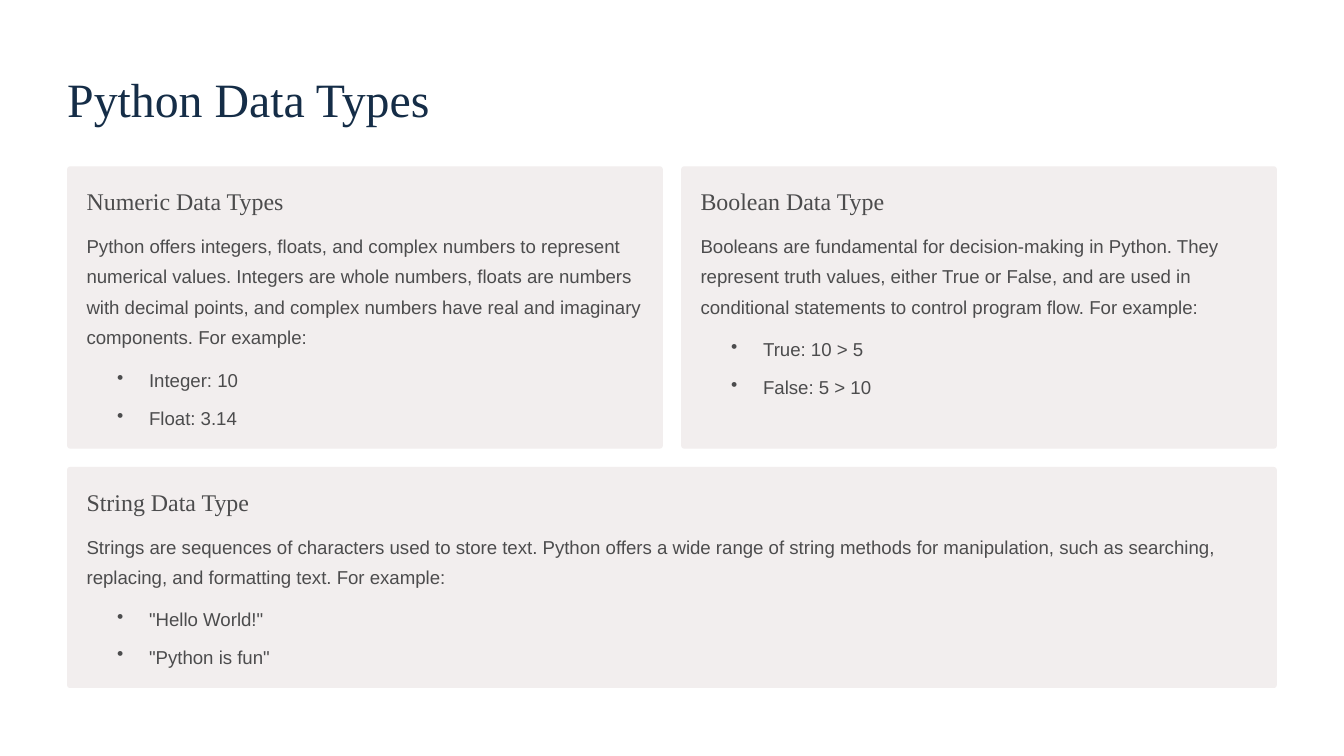
from lxml import etree
from pptx import Presentation
from pptx.dml.color import RGBColor
from pptx.enum.shapes import MSO_SHAPE
from pptx.oxml.ns import qn
from pptx.util import Pt

ROUNDED = MSO_SHAPE.ROUNDED_RECTANGLE
COLORS = {"title": "152D47", "text": "4C4C4D", "card": "F2EEEE"}
SERIF, SANS = "Times New Roman", "Arial"

# Layout in points
LEFT, TOP, GAP = 57.6, 142.6, 15.8
FULL_W = 1036.8
HALF_W = (FULL_W - GAP) / 2
UPPER_H, LOWER_H = 241.9, 189.4
PAD, RADIUS = 16.6, 2.4
BODY_TOP, LINE_H = 52, 26.5
BULLET_INDENT, BULLET_HANG, BULLET_STEP = 26.2, 27.4, 32.1


def add_text(s, x, y, w, h, text, size, font, color, spacing, bullet=False):
    tf = s.shapes.add_textbox(Pt(x), Pt(y), Pt(w), Pt(h)).text_frame
    tf.word_wrap = True
    tf.margin_left = tf.margin_right = tf.margin_top = tf.margin_bottom = 0
    p = tf.paragraphs[0]
    p.line_spacing = Pt(spacing)
    r = p.add_run()
    r.text = text
    r.font.size = Pt(size)
    r.font.name = font
    r.font.color.rgb = RGBColor.from_string(COLORS[color])
    if bullet:
        pPr = p._p.get_or_add_pPr()
        pPr.set("marL", str(Pt(BULLET_HANG)))
        pPr.set("indent", str(-Pt(BULLET_HANG)))
        etree.SubElement(pPr, qn("a:buChar")).set("char", "•")


def add_card(s, x, y, w, h, heading, body, lines, examples):
    # Panel
    sp = s.shapes.add_shape(ROUNDED, Pt(x), Pt(y), Pt(w), Pt(h))
    sp.adjustments[0] = RADIUS / h
    sp.shadow.inherit = False
    sp.fill.solid()
    sp.fill.fore_color.rgb = RGBColor.from_string(COLORS["card"])
    sp.line.fill.background()

    # Heading and description
    x, inner_w = x + PAD, w - 2 * PAD
    add_text(s, x, y + PAD, 205, 25.6, heading, 20.5, SERIF, "text", 25.5)
    y += BODY_TOP
    add_text(s, x, y, inner_w, lines * 26.2, body, 16, SANS, "text", 26)

    # Bulleted examples
    y += lines * LINE_H + 9
    for i, example in enumerate(examples):
        add_text(s, x + BULLET_INDENT, y + i * BULLET_STEP, inner_w - BULLET_INDENT,
                 26.5, example, 16, SANS, "text", 26, bullet=True)


def main():
    prs = Presentation()
    prs.slide_width, prs.slide_height = Pt(1152), Pt(648)
    s = prs.slides.add_slide(prs.slide_layouts[6])

    add_text(s, LEFT, 58.3, 410.4, 51, "Python Data Types", 41, SERIF, "title", 51)

    # Upper row
    add_card(s, LEFT, TOP, HALF_W, UPPER_H, "Numeric Data Types",
             "Python offers integers, floats, and complex numbers to represent "
             "numerical values. Integers are whole numbers, floats are numbers "
             "with decimal points, and complex numbers have real and imaginary "
             "components. For example:",
             4, ["Integer: 10", "Float: 3.14"])
    add_card(s, LEFT + HALF_W + GAP, TOP, HALF_W, UPPER_H, "Boolean Data Type",
             "Booleans are fundamental for decision-making in Python. They "
             "represent truth values, either True or False, and are used in "
             "conditional statements to control program flow. For example:",
             3, ["True: 10 > 5", "False: 5 > 10"])

    # Lower row
    add_card(s, LEFT, TOP + UPPER_H + GAP, FULL_W, LOWER_H, "String Data Type",
             "Strings are sequences of characters used to store text. Python "
             "offers a wide range of string methods for manipulation, such as "
             "searching, replacing, and formatting text. For example:",
             2, ['"Hello World!"', '"Python is fun"'])

    prs.save("out.pptx")


if __name__ == "__main__":
    main()
